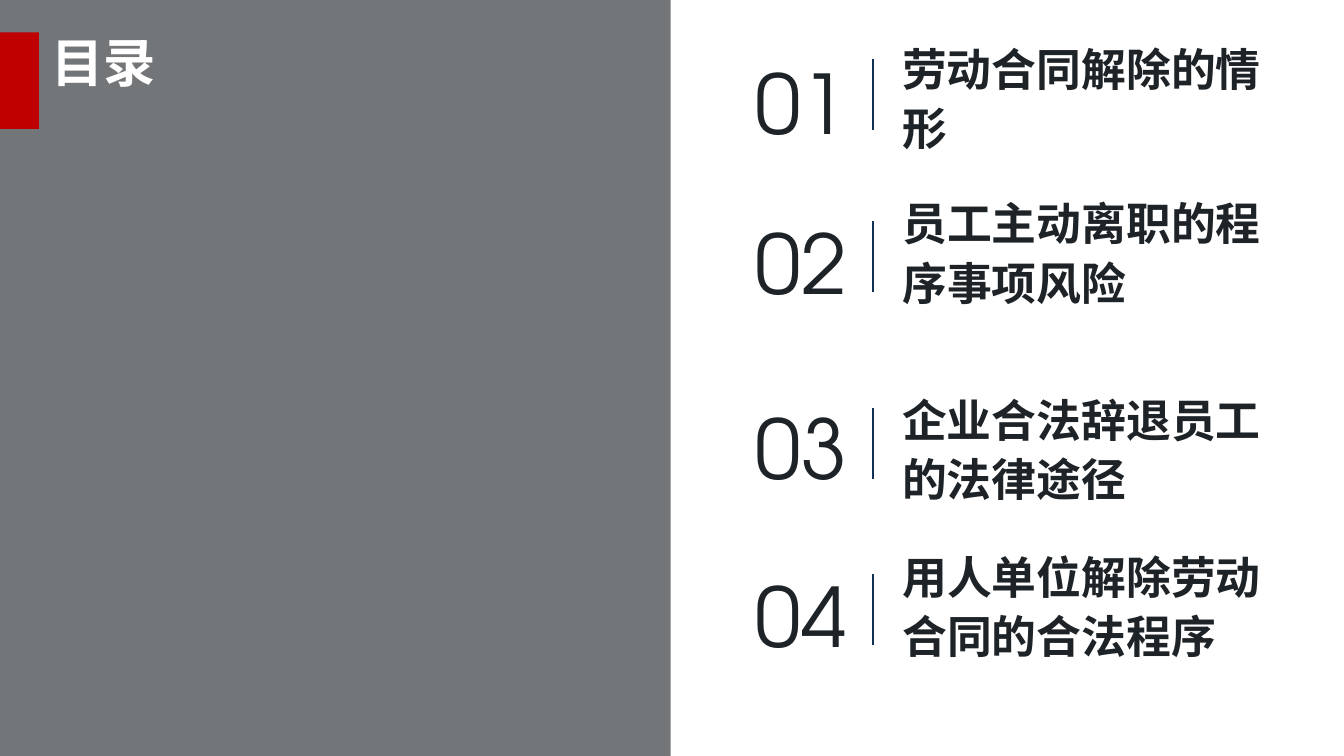
from lxml import etree
from pptx import Presentation
from pptx import util as u
from pptx.dml.color import RGBColor
from pptx.enum import shapes, text
from pptx.oxml.ns import qn

SCALE = 4572
FONT = "TeX Gyre Adventor"
COLORS = {"ink": "1E2327", "red": "C00000", "navy": "103154", "white": "FFFFFF"}
CHAPTERS = [
    ("劳动合同解除的情形", 580, 46, 68, 88),
    ("员工主动离职的程序事项风险", 596, 276, 306, 329),
    ("企业合法辞退员工的法律途径", 580, 568, 581, 607),
    ("用人单位解除劳动合同的合法程序", 596, 802, 832, 854),
]


def px(*lengths):
    return [u.Emu(length * SCALE) for length in lengths]


def color(name):
    return RGBColor.from_string(COLORS[name])


def add_block(slide, box, fill, opacity=100):
    shape = slide.shapes.add_shape(shapes.MSO_SHAPE.RECTANGLE, *px(*box))
    shape.shadow.inherit = False
    shape.fill.solid()
    shape.fill.fore_color.rgb = color(fill)
    shape.line.fill.background()
    if opacity < 100:
        tint = shape._element.spPr.find(".//" + qn("a:srgbClr"))
        etree.SubElement(tint, qn("a:alpha"), val=str(opacity * 1000))


def add_text(slide, content, box, *, size, ink="ink", bold=False, wrap=True,
             anchor=text.MSO_ANCHOR.TOP, spacing=None):
    frame = slide.shapes.add_textbox(*px(*box)).text_frame
    frame.word_wrap = wrap
    frame.auto_size = text.MSO_AUTO_SIZE.SHAPE_TO_FIT_TEXT
    frame.vertical_anchor = anchor
    paragraph = frame.paragraphs[0]
    paragraph.line_spacing = spacing
    run = paragraph.add_run()
    run.text = content
    run.font.name = FONT
    run.font.size = u.Pt(size)
    run.font.bold = bold
    run.font.color.rgb = color(ink)


def add_divider(slide, x, top, height):
    line = slide.shapes.add_connector(
        shapes.MSO_CONNECTOR.STRAIGHT, *px(x, top, x, top + height))
    line.line.color.rgb = color("navy")
    line.line.width = u.Pt(1)
    etree.SubElement(line._element.spPr, qn("a:effectLst"))


def add_chapter(slide, number, title, width, title_top, number_top, divider_top):
    add_text(slide, title, (1323, title_top, width, 192), size=24, bold=True,
             anchor=text.MSO_ANCHOR.MIDDLE, spacing=1.1)
    add_text(slide, f"{number:02d}", (1105, number_top, 178, 168), size=44, wrap=False)
    add_divider(slide, 1299, divider_top, 106)


def main():
    """Build the contents slide, measured in px of 1/200 inch."""
    presentation = Presentation()
    presentation.slide_width, presentation.slide_height = px(2000, 1125)
    slide = presentation.slides.add_slide(presentation.slide_layouts[6])
    add_block(slide, (0, 0, 998, 1125), "ink", opacity=62)
    add_block(slide, (0, 48, 58, 144), "red")
    add_text(slide, "目录", (57, 35, 440, 118), size=28, ink="white", bold=True)
    for number, chapter in enumerate(CHAPTERS, start=1):
        add_chapter(slide, number, *chapter)
    presentation.save("out.pptx")


if __name__ == "__main__":
    main()
